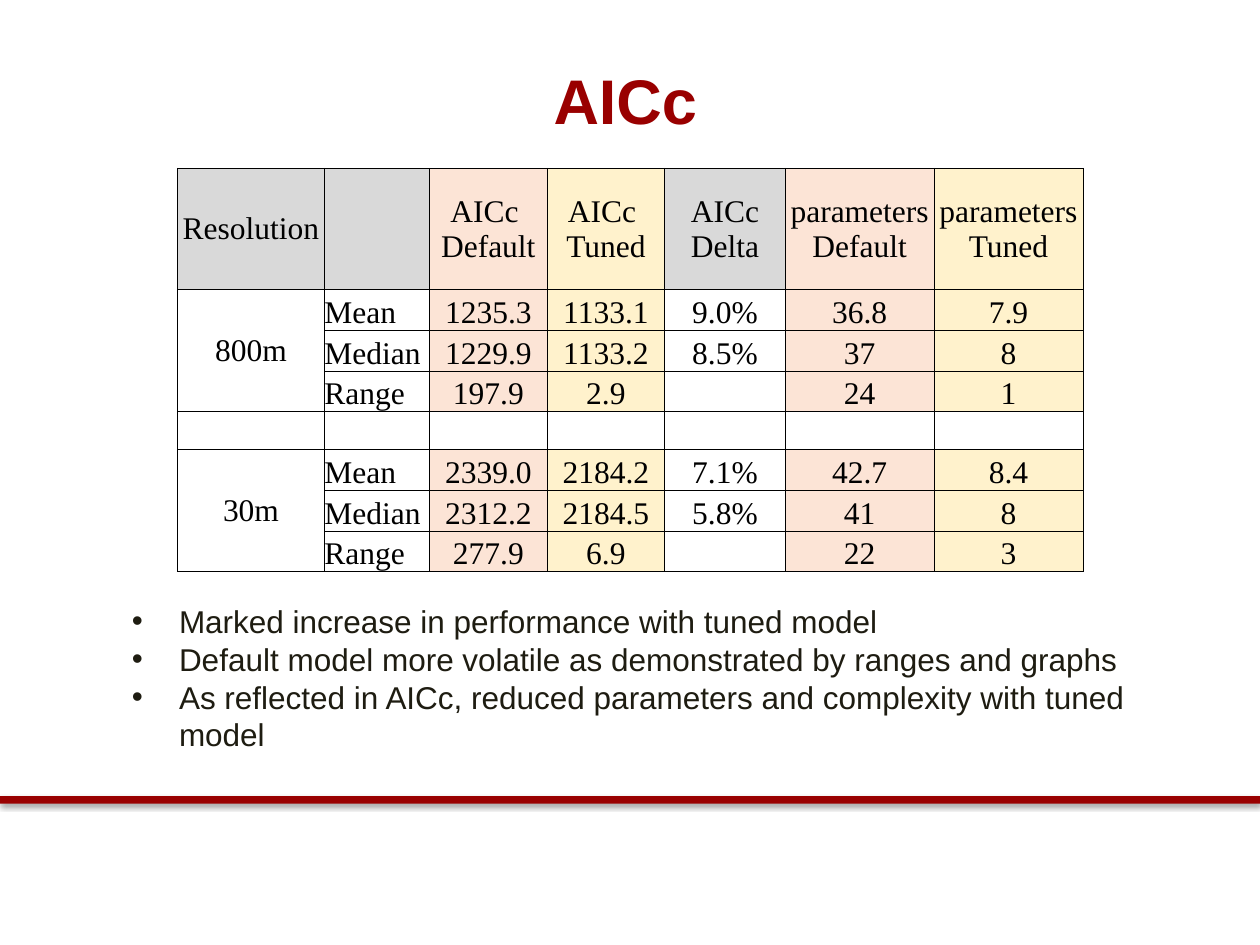
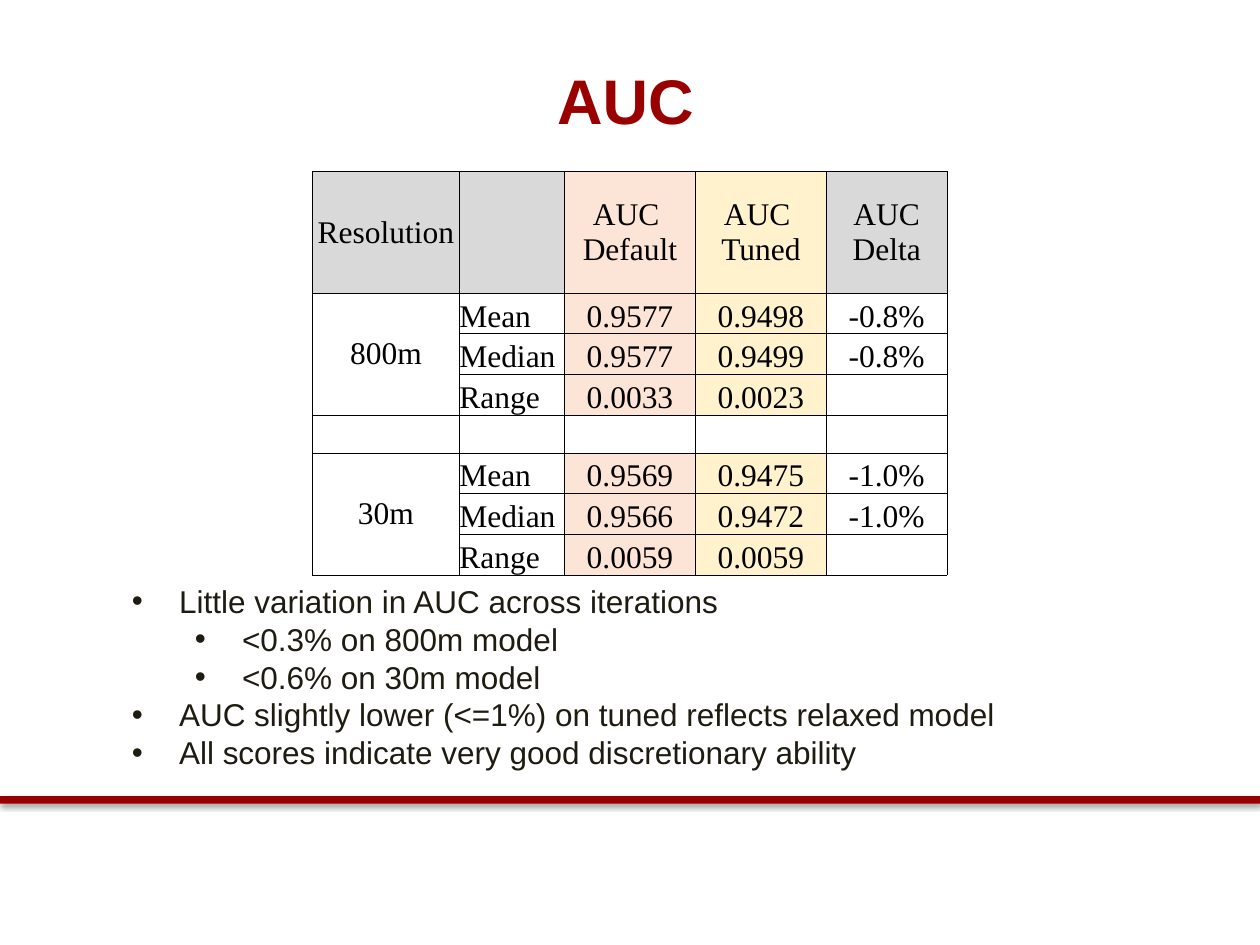
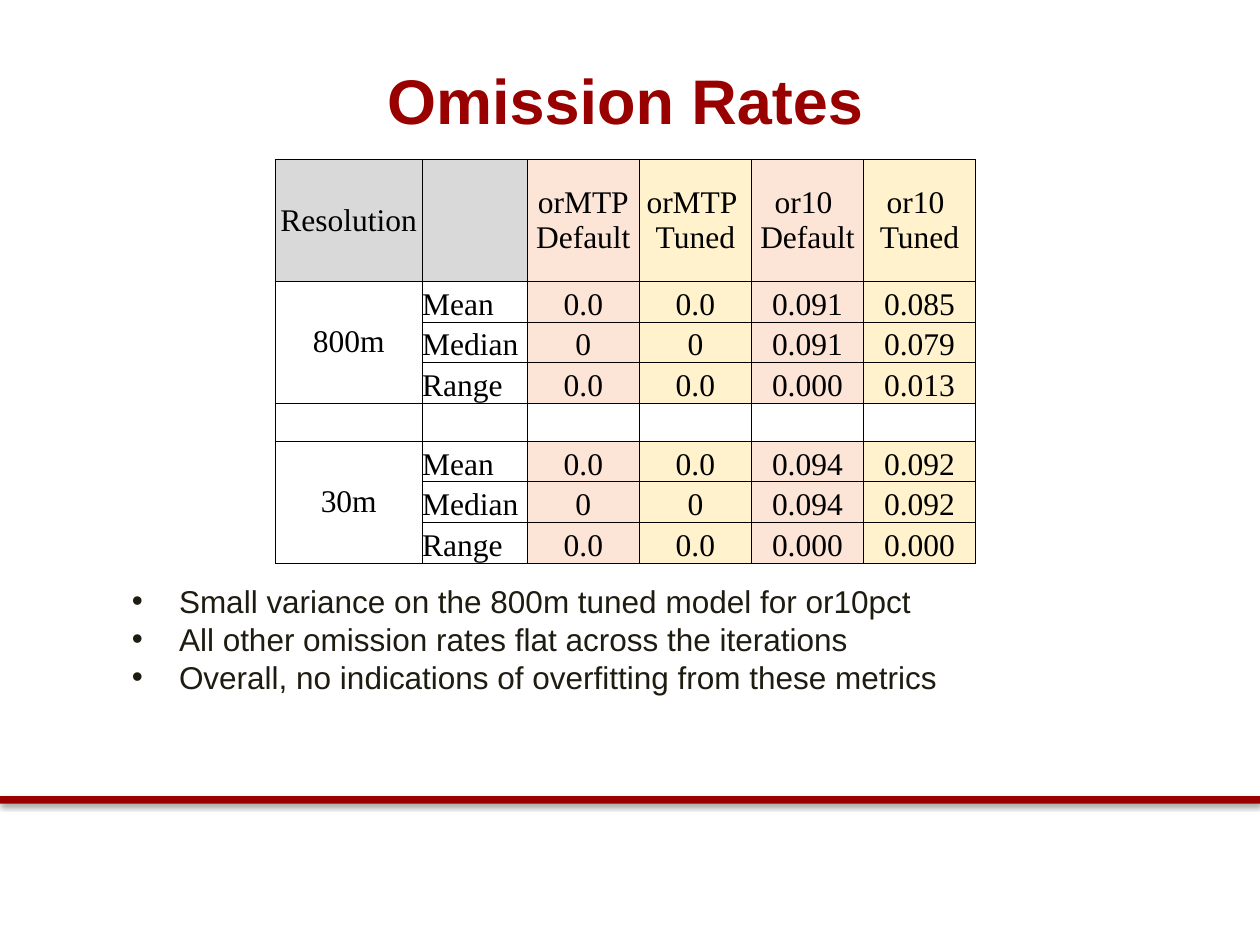
from lxml import etree
from pptx import Presentation
from pptx.dml.color import RGBColor
from pptx.enum import shapes, text
from pptx.oxml import ns
from pptx.util import Cm, Pt

INK = {
    "red": "990000", "body": "1E1C11", "black": "000000",
    "grey": "D9D9D9", "Default": "FCE4D6", "Tuned": "FFF2CC",
}
SANS, SERIF = "Arial", "Times New Roman"
STATS = ["Mean", "Median", "Range"]
BLANK = 4  # table row that parts the two resolutions

# Contents: column widths are those after the two label columns
PAGES = [
    {
        "title": "AICc", "left": 3.58, "top": 3.39,
        "wide": [2.37, 2.37, 2.43, 3, 3],
        "heads": ["AICc \nDefault", "AICc \nTuned", "AICc\nDelta",
                  "parameters\nDefault", "parameters\nTuned"],
        "800m": [["1235.3", "1133.1", "9.0%", "36.8", "7.9"],
                 ["1229.9", "1133.2", "8.5%", "37", "8"],
                 ["197.9", "2.9", "", "24", "1"]],
        "30m": [["2339.0", "2184.2", "7.1%", "42.7", "8.4"],
                ["2312.2", "2184.5", "5.8%", "41", "8"],
                ["277.9", "6.9", "", "22", "3"]],
        "notes": (12.01, 3.33, [
            (0, "Marked increase in performance with tuned model"),
            (0, "Default model more volatile as demonstrated by ranges and graphs"),
            (0, "As reflected in AICc, reduced parameters and complexity with tuned model")]),
    },
    {
        "title": "AUC", "left": 6.3, "top": 3.46,
        "wide": [2.64, 2.64, 2.43],
        "heads": ["AUC \nDefault", "AUC \nTuned", "AUC\nDelta"],
        "800m": [["0.9577", "0.9498", "-0.8%"],
                 ["0.9577", "0.9499", "-0.8%"],
                 ["0.0033", "0.0023", ""]],
        "30m": [["0.9569", "0.9475", "-1.0%"],
                ["0.9566", "0.9472", "-1.0%"],
                ["0.0059", "0.0059", ""]],
        "notes": (11.61, 4.11, [
            (0, "Little variation in AUC across iterations"),
            (1, "<0.3% on 800m model"),
            (1, "<0.6% on 30m model"),
            (0, "AUC slightly lower (<=1%) on tuned reflects relaxed model"),
            (0, "All scores indicate very good discretionary ability")]),
    },
    {
        "title": "Omission Rates", "left": 5.55, "top": 3.22,
        "wide": [2.26] * 4,
        "heads": ["orMTP\nDefault", "orMTP \nTuned", "or10 \nDefault", "or10 \nTuned"],
        "800m": [["0.0", "0.0", "0.091", "0.085"],
                 ["0", "0", "0.091", "0.079"],
                 ["0.0", "0.0", "0.000", "0.013"]],
        "30m": [["0.0", "0.0", "0.094", "0.092"],
                ["0", "0", "0.094", "0.092"],
                ["0.0", "0.0", "0.000", "0.000"]],
        "notes": (11.61, 2.57, [
            (0, "Small variance on the 800m tuned model for or10pct"),
            (0, "All other omission rates flat across the iterations"),
            (0, "Overall, no indications of overfitting from these metrics")]),
    },
]


def write(para, words, size, face, ink, bold=False):
    """Add one run per line of words, with line breaks between them."""
    for i, line in enumerate(words.split("\n")):
        if i:
            para.add_line_break()
        run = para.add_run()
        run.text = line
        run.font.size, run.font.name, run.font.bold = Pt(size), face, bold
        run.font.color.rgb = RGBColor.from_string(INK[ink])


def add(node, tag, **attrs):
    """Add a drawing element below node."""
    kid = etree.SubElement(node, ns.qn("a:" + tag))
    for name, val in attrs.items():
        kid.set(name, str(val))
    return kid


deck = Presentation()
deck.slide_width, deck.slide_height = Cm(25.4), Cm(19.05)

for page in PAGES:
    slide = deck.slides.add_slide(deck.slide_layouts[6])

    # Red band with a soft shadow
    band = slide.shapes.add_shape(
        shapes.MSO_SHAPE.RECTANGLE, 0, Cm(16.05), deck.slide_width, Cm(0.15))
    band.fill.solid()
    band.fill.fore_color.rgb = RGBColor.from_string(INK["red"])
    band.line.fill.background()
    band.shadow.inherit = False
    glow = add(band._element.spPr.find(ns.qn("a:effectLst")), "outerShdw",
               blurRad=Pt(3.1), dist=Pt(1.6), dir=5400000, rotWithShape=0)
    add(add(glow, "srgbClr", val=INK["black"]), "alpha", val=38000)

    # Title
    box = slide.shapes.add_textbox(Cm(2.23), Cm(1.12), Cm(20.75), Cm(1.8))
    box.text_frame.word_wrap = True
    para = box.text_frame.paragraphs[0]
    para.alignment = text.PP_ALIGN.CENTER
    write(para, page["title"], 36, SANS, "red", True)

    # Table rows: header, three figures, blank, three figures
    rows = [["Resolution", ""] + page["heads"]]
    for res in ("800m", "30m"):
        for i, stat in enumerate(STATS):
            rows.append(["" if i else res, stat] + page[res][i])
    rows.insert(BLANK, [""] * len(rows[0]))
    wide = [2.96, 2.12] + page["wide"]
    high = [2.45] + [0.82] * 3 + [0.76] + [0.82] * 3

    grid = slide.shapes.add_table(
        len(rows), len(wide), Cm(page["left"]), Cm(page["top"]),
        Cm(sum(wide)), Cm(sum(high))).table
    grid.first_row = grid.horz_banding = False
    for col, size in zip(grid.columns, wide):
        col.width = Cm(size)
    for row, size in zip(grid.rows, high):
        row.height = Cm(size)
    for top in (1, BLANK + 1):
        grid.cell(top, 0).merge(grid.cell(top + 2, 0))

    # Table cells
    for r, row in enumerate(rows):
        for c, words in enumerate(row):
            cell = grid.cell(r, c)
            cell.margin_left = cell.margin_right = 0
            cell.margin_top = cell.margin_bottom = 0
            mid = r == 0 or c == 0
            cell.vertical_anchor = (
                text.MSO_ANCHOR.MIDDLE if mid else text.MSO_ANCHOR.BOTTOM)
            for side in ("lnL", "lnR", "lnT", "lnB"):
                edge = add(cell._tc.get_or_add_tcPr(), side, w=Pt(0.5))
                add(add(edge, "solidFill"), "srgbClr", val=INK["black"])
            kind = rows[0][c].split("\n")[-1]
            tint = INK.get(kind, INK["grey"] if r == 0 else None)
            if tint and r != BLANK:
                cell.fill.solid()
                cell.fill.fore_color.rgb = RGBColor.from_string(tint)
            else:
                cell.fill.background()
            if words:
                para = cell.text_frame.paragraphs[0]
                para.alignment = (
                    text.PP_ALIGN.LEFT if c == 1 else text.PP_ALIGN.CENTER)
                write(para, words, 18, SERIF, "black")

    # Bullets
    top, tall, notes = page["notes"]
    box = slide.shapes.add_textbox(Cm(2.41), Cm(top), Cm(20.55), Cm(tall))
    frame = box.text_frame
    frame.word_wrap = True
    for i, (level, words) in enumerate(notes):
        para = frame.add_paragraph() if i else frame.paragraphs[0]
        para.level = level
        props = para._p.get_or_add_pPr()
        props.set("marL", str(Cm(0.95 + 1.27 * level)))
        props.set("indent", str(-Cm(0.95)))
        add(props, "buFont", typeface=SANS)
        add(props, "buChar", char="•")
        write(para, words, 18, SANS, "body")

deck.save("out.pptx")
